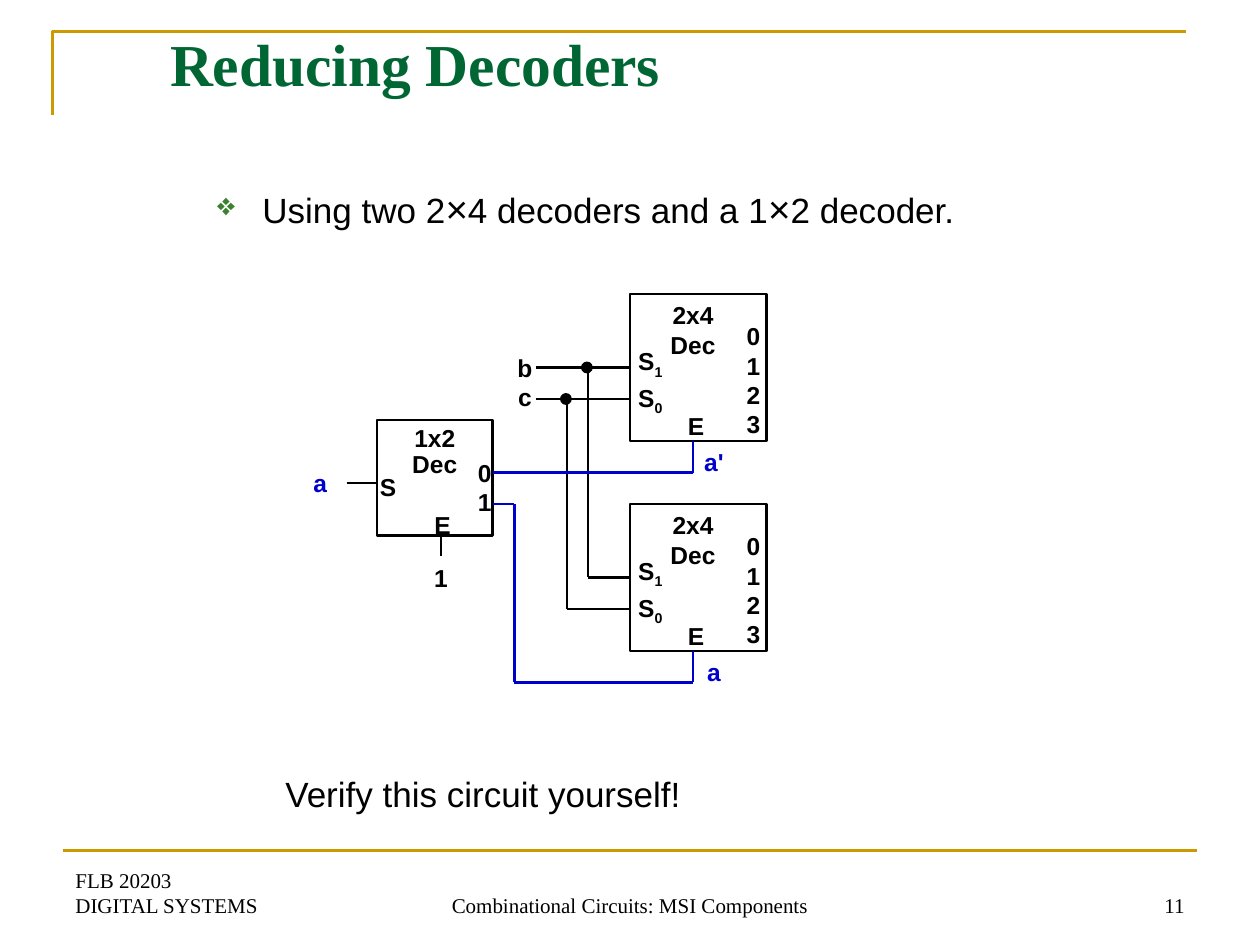
from dataclasses import dataclass

from lxml.etree import SubElement
from pptx import Presentation
from pptx.dml.color import RGBColor
from pptx.enum.shapes import MSO_CONNECTOR, MSO_SHAPE
from pptx.enum.text import MSO_ANCHOR, PP_ALIGN
from pptx.oxml.ns import qn
from pptx.util import Pt

SCALE = 7620
LEFT, MID, RIGHT = PP_ALIGN.LEFT, PP_ALIGN.CENTER, PP_ALIGN.RIGHT


@dataclass(frozen=True)
class Theme:
    """Colours, fonts and sizes of the slide."""
    ink: str = "000000"
    blue: str = "0000CC"
    gold: str = "CC9900"
    green: str = "006633"
    mark: str = "3B812F"
    sans: str = "Arial"
    serif: str = "Times New Roman"
    title: int = 34
    body: int = 20
    times: int = 22
    label: int = 14
    foot: int = 12
    edge: float = 1.5
    wire: float = 1.25
    thin: float = 0.75


THEME = Theme()


def px(*nums):
    """Turn px lengths into EMU."""
    return [round(num * SCALE) for num in nums]


def style(part, size, face, color, bold=False):
    """Format the font of a run or a paragraph."""
    font = part.font
    font.size, font.name, font.bold = Pt(size), face, bold
    font.color.rgb = RGBColor.from_string(color)


def text(slide, box, words, size=THEME.label, face=THEME.sans,
         color=THEME.ink, bold=True, align=MID, anchor=MSO_ANCHOR.TOP):
    """Add a wrapped text box and return its frame."""
    frame = slide.shapes.add_textbox(*px(*box)).text_frame
    frame.word_wrap, frame.vertical_anchor = True, anchor
    frame.text = words
    for para in frame.paragraphs:
        para.alignment = align
        for run in para.runs:
            style(run, size, face, color, bold)
    return frame


def stroke(shape, color, width):
    """Set the outline of a shape or connector."""
    shape.line.color.rgb = RGBColor.from_string(color)
    shape.line.width = Pt(width)


def wire(slide, start, end, color=THEME.ink, width=THEME.wire, goal=None):
    """Draw a straight line, joined to the left side of a goal if given."""
    line = slide.shapes.add_connector(MSO_CONNECTOR.STRAIGHT, *px(*start, *end))
    if goal is not None:
        line.end_connect(goal, 1)
    stroke(line, color, width)
    SubElement(line._element.spPr, qn("a:effectLst"))


def route(slide, points, color=THEME.ink):
    """Draw a wire through a list of points."""
    for start, end in zip(points, points[1:]):
        wire(slide, start, end, color)


def block(slide, box):
    """Draw the outline of a decoder."""
    rect = slide.shapes.add_shape(MSO_SHAPE.RECTANGLE, *px(*box))
    rect.shadow.inherit = False
    rect.fill.background()
    stroke(rect, THEME.ink, THEME.edge)
    return rect


def dot(slide, x, y):
    """Mark a wire junction."""
    disc = slide.shapes.add_shape(MSO_SHAPE.OVAL, *px(x - 6, y - 5, 10, 10))
    disc.shadow.inherit = False
    disc.fill.solid()
    disc.fill.fore_color.rgb = RGBColor.from_string(THEME.ink)
    stroke(disc, THEME.ink, THEME.thin)


def large(slide, x, y, name):
    """Place a 2x4 decoder with its pins and enable label."""
    rect = block(slide, (x, y, 130, 140))
    text(slide, (x + 10, y, 100, 68), "2x4\nDec")
    pins = text(slide, (x - 4, y + 44, 56, 79), "S\nS", align=LEFT)
    for para, digit in zip(pins.paragraphs, "10"):
        run = para.add_run()
        run.text = digit
        style(run, THEME.label, THEME.sans, THEME.ink, True)
        run.font._element.set("baseline", "-25000")
    pins.paragraphs[1].space_before = Pt(1.8)
    text(slide, (x + 86, y + 20, 50, 125), "0\n1\n2\n3", align=RIGHT)
    text(slide, (x + 43, y + 106, 40, 41), "E")
    text(slide, (x + 50, y + 140, 60, 41), name, color=THEME.blue)
    return rect


def small(slide, x, y):
    """Place the 1x2 decoder with its input and enable."""
    block(slide, (x, y, 110, 110))
    name = text(slide, (x + 5, y, 100, 62), "1x2\nDec")
    for para in name.paragraphs:
        para.line_spacing = 0.9
    text(slide, (x - 9, y + 44, 56, 41), "S", align=LEFT)
    text(slide, (x + 71, y + 30, 50, 68), "0\n1", align=RIGHT)
    text(slide, (x + 41, y + 80, 43, 41), "E")
    text(slide, (x - 79, y + 40, 50, 41), "a", color=THEME.blue)
    wire(slide, (x - 29, y + 60), (x, y + 60))
    wire(slide, (x + 61, y + 110), (x + 61, y + 130), width=THEME.thin)
    text(slide, (x + 31, y + 130, 60, 41), "1")


def circuit(slide, x, y):
    """Place the three decoders and the wires between them."""
    top = large(slide, x + 320, y, "a'")
    low = large(slide, x + 320, y + 200, "a")
    small(slide, x + 79, y + 120)
    text(slide, (x + 200, y + 50, 40, 68), "b\nc")
    wire(slide, (x + 230, y + 70), (x + 320, y + 70), goal=top)
    wire(slide, (x + 280, y + 270), (x + 320, y + 270), goal=low)
    wire(slide, (x + 280, y + 70), (x + 280, y + 270))
    wire(slide, (x + 230, y + 100), (x + 320, y + 100))
    route(slide, [(x + 260, y + 100), (x + 260, y + 300), (x + 320, y + 300)])
    route(slide, [(x + 190, y + 170), (x + 380, y + 170), (x + 380, y + 140)],
          THEME.blue)
    route(slide, [(x + 190, y + 200), (x + 210, y + 200), (x + 210, y + 370),
                  (x + 380, y + 370), (x + 380, y + 340)], THEME.blue)
    dot(slide, x + 280, y + 70)
    dot(slide, x + 260, y + 100)


def header(slide, x, y, w, h):
    """Draw the corner rule and place the title."""
    pen = slide.shapes.build_freeform(x, y + h, scale=SCALE)
    pen.add_line_segments([(x, y), (x + w, y)], close=False)
    rule = pen.convert_to_shape()
    rule.shadow.inherit = False
    rule.fill.background()
    stroke(rule, THEME.gold, THEME.edge)
    title = slide.shapes.title
    title.left, title.top, title.width, title.height = px(x + 100, y - 10, 1020, 150)
    frame = title.text_frame
    frame.text = "Reducing Decoders"
    frame.vertical_anchor = MSO_ANCHOR.TOP
    para = frame.paragraphs[0]
    para.alignment = LEFT
    style(para.runs[0], THEME.title, THEME.serif, THEME.green, True)


def point(slide, box):
    """Place the bulleted statement."""
    para = text(slide, box, "", align=LEFT).paragraphs[0]
    props = para._p.get_or_add_pPr()
    indent, hang = px(88, -43)
    props.set("marL", str(indent))
    props.set("indent", str(hang))
    tint = SubElement(props, qn("a:buClr"))
    SubElement(tint, qn("a:srgbClr")).set("val", THEME.mark)
    SubElement(props, qn("a:buSzPct")).set("val", "90000")
    SubElement(props, qn("a:buChar")).set("char", "❖")
    for piece in ("Using two 2", "×", "4 decoders and a 1", "×", "2 decoder."):
        run = para.add_run()
        run.text = piece
        size = THEME.times if piece == "×" else THEME.body
        style(run, size, THEME.sans, THEME.ink)


def footer(slide, x, y, w):
    """Draw the bottom rule and the three footer texts."""
    wire(slide, (x, y), (x + w, y), THEME.gold, THEME.edge)
    parts = [(0, 280, "FLB 20203\vDIGITAL SYSTEMS", LEFT),
             (350, 380, "Combinational Circuits: MSI Components", MID),
             (800, 280, "11", RIGHT)]
    for left, wide, words, align in parts:
        text(slide, (x + left, y + 10, wide, 60), words, THEME.foot,
             THEME.serif, bold=False, align=align, anchor=MSO_ANCHOR.BOTTOM)


def main():
    """Build and save the slide."""
    deck = Presentation()
    deck.slide_width, deck.slide_height = px(1200, 900)
    slide = deck.slides.add_slide(deck.slide_layouts[5])
    header(slide, 50, 30, 1080, 80)
    point(slide, (150, 170, 1010, 90))
    circuit(slide, 280, 280)
    text(slide, (260, 730, 420, 53), "Verify this circuit yourself!",
         THEME.body, bold=False, align=LEFT)
    footer(slide, 60, 810, 1080)
    deck.save("out.pptx")


if __name__ == "__main__":
    main()
